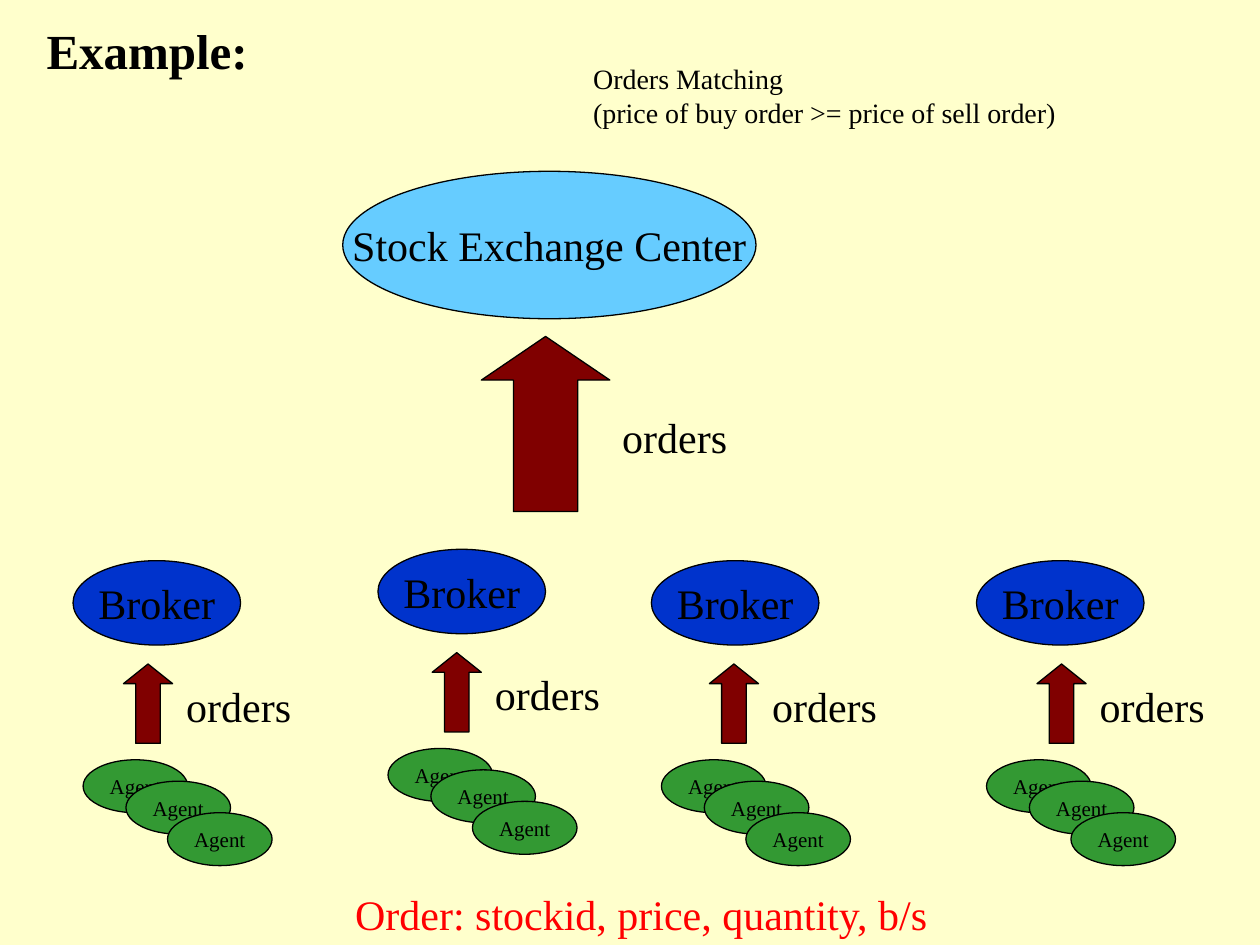
from pptx import Presentation
from pptx.dml.color import RGBColor
from pptx.enum.shapes import MSO_SHAPE
from pptx.enum.text import MSO_ANCHOR, PP_ALIGN
from pptx.util import Inches, Pt


def color(code):
    return RGBColor.from_string(code)


def draw(kind, left, top, width, height, fill="", text="", size=24, ink="000000"):
    box = [Inches(n) for n in (left, top, width, height)]
    if kind is None:
        shape = slide.shapes.add_textbox(*box)
    else:
        shape = slide.shapes.add_shape(kind, *box)
        shape.shadow.inherit = False
        shape.fill.solid()
        shape.fill.fore_color.rgb = color(fill)
        shape.line.color.rgb = color("000000")
        shape.line.width = Pt(0.75)
    if text:
        frame = shape.text_frame
        frame.text = text
        frame.word_wrap = False
        frame.vertical_anchor = MSO_ANCHOR.MIDDLE if kind else MSO_ANCHOR.TOP
        for para in frame.paragraphs:
            para.alignment = PP_ALIGN.CENTER if kind else PP_ALIGN.LEFT
            style = {"name": "Times New Roman", "size": Pt(size)}
            for key, value in style.items():
                setattr(para.font, key, value)
            para.font.color.rgb = color(ink)
    return shape


deck = Presentation()
deck.slide_width, deck.slide_height = Inches(10), Inches(7.5)
slide = deck.slides.add_slide(deck.slide_layouts[5])
slide.background.fill.solid()
slide.background.fill.fore_color.rgb = color("FFFFCC")

title = slide.shapes.title
place = {"left": 0.27, "top": 0.11, "width": 1.9, "height": 0.57}
for key, value in place.items():
    setattr(title, key, Inches(value))
title.text_frame.text = "Example:"
title.text_frame.word_wrap = True
title.text_frame.vertical_anchor = MSO_ANCHOR.TOP
head = title.text_frame.paragraphs[0]
head.alignment = PP_ALIGN.LEFT
style = {"name": "Times New Roman", "size": Pt(28), "bold": True}
for key, value in style.items():
    setattr(head.font, key, value)
head.font.color.rgb = color("000000")

oval, arrow = MSO_SHAPE.OVAL, MSO_SHAPE.UP_ARROW
brokers = [(0.58, 4.45, 0.98), (3, 4.36, 3.43), (5.17, 4.45, 5.63), (7.75, 4.45, 8.23)]
agents = [(0.08, 1.58), (0.42, 1.75), (0.75, 2)]

for left, top, shaft in brokers:
    for right, down in agents:
        draw(oval, left + right, top + down, 0.83, 0.42, "339933", "Agent", 12)
    draw(oval, left, top, 1.33, 0.67, "0033CC", "Broker")
    draw(None, shaft + 0.4, top + 0.9, 1.03, 0.5, text="orders")
    draw(arrow, shaft, top + 0.82, 0.39, 0.63, "800000").adjustments[1] = 0.4

draw(oval, 2.72, 1.36, 3.28, 1.17, "66CCFF", "Stock Exchange Center")
draw(arrow, 3.82, 2.67, 1.02, 1.39, "800000").adjustments[1] = 0.34
draw(None, 4.84, 3.22, 1.03, 0.5, text="orders")

rule = "Orders Matching\n(price of buy order >= price of sell order)"
draw(None, 4.61, 0.44, 4.06, 0.64, text=rule, size=16).text_frame.word_wrap = True
draw(None, 2.72, 7, 4.76, 0.5, text="Order: stockid, price, quantity, b/s", ink="FF0000")

deck.save("out.pptx")
